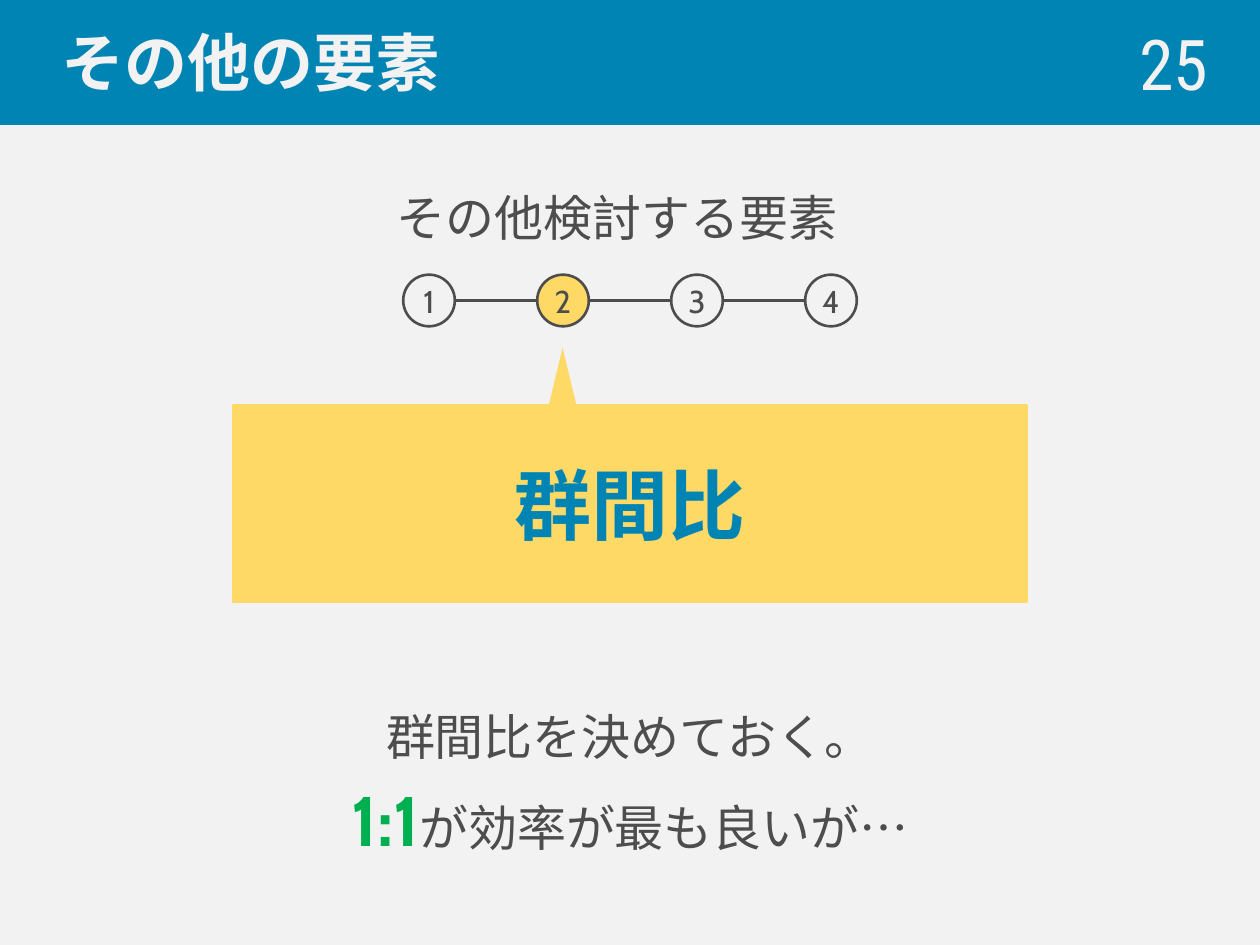
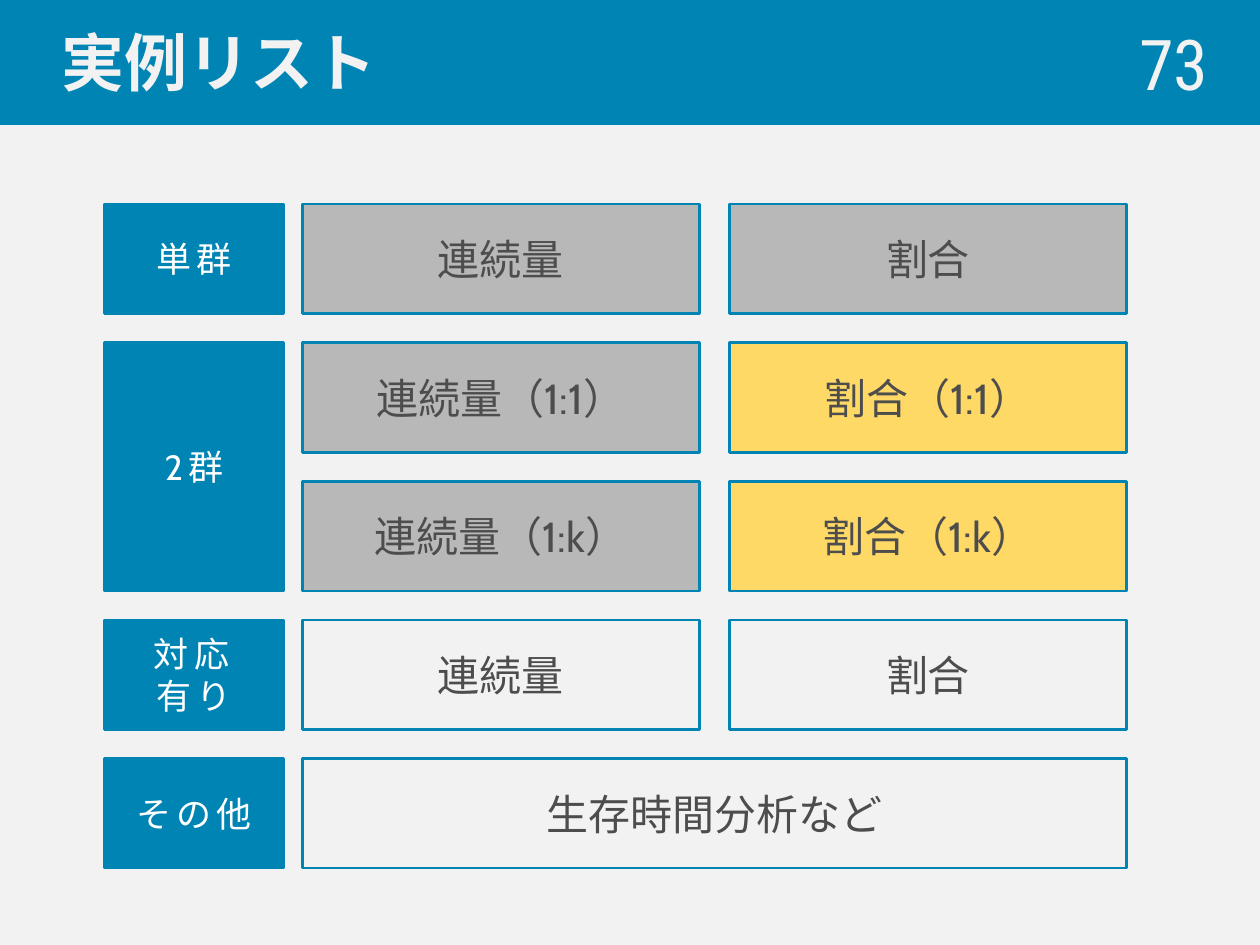
from pptx import Presentation
from pptx import util as u
from pptx.dml.color import RGBColor
from pptx.enum import shapes, text
from pptx.oxml.ns import qn
from lxml import etree

HUES = {"blue": "0084B4", "gold": "FFD966", "gray": "B8B8B8",
        "ink": "4D4D4D", "pale": "F2F2F2", "white": "FFFFFF", "green": "00B050"}
RGB = {name: RGBColor.from_string(code) for name, code in HUES.items()}
SANS, KANJI, COND = "Cabin", "Noto Sans CJK JP", "Roboto Condensed"
LEFT, MID, RIGHT = text.PP_ALIGN.LEFT, text.PP_ALIGN.CENTER, text.PP_ALIGN.RIGHT
KIND = shapes.MSO_SHAPE
WIDE, HIGH, BAND = 10, 7.5, 0.98


def style(frame, size, hue, font=SANS, bold=False, align=MID, gap=0):
    """Format every run of a text frame; gap is letter spacing in points."""
    for par in frame.paragraphs:
        par.alignment = align
        for run in par.runs:
            run.font.size, run.font.bold = u.Pt(size), bold
            run.font.name, run.font.color.rgb = font, RGB[hue]
            props = run._r.get_or_add_rPr()
            props.find(qn("a:latin")).addnext(
                etree.Element(qn("a:ea"), typeface=KANJI))
            if gap:
                props.set("spc", str(gap * 100))


def draw(host, kind, x, y, w, h, fill=None, line=None):
    """Add a flat preset shape, sized in inches."""
    item = host.add_shape(kind, *map(u.Inches, (x, y, w, h)))
    item.shadow.inherit = False
    if fill:
        item.fill.solid()
        item.fill.fore_color.rgb = RGB[fill]
    else:
        item.fill.background()
    if line:
        item.line.color.rgb, item.line.width = RGB[line], u.Pt(1.5)
    else:
        item.line.fill.background()
    item.text_frame.vertical_anchor = text.MSO_ANCHOR.MIDDLE
    return item


deck = Presentation()
deck.slide_width, deck.slide_height = u.Inches(WIDE), u.Inches(HIGH)
back = deck.slide_master.background.fill
back.solid()
back.fore_color.rgb = RGB["pale"]

# Shared header: title band and page number
pages = []
for head, num in (("その他の要素", "25"), ("実例リスト", "73")):
    page = deck.slides.add_slide(deck.slide_layouts[5])
    title = page.shapes.title
    title.left, title.top = 0, 0
    title.width, title.height = u.Inches(WIDE), u.Inches(BAND)
    title.fill.solid()
    title.fill.fore_color.rgb = RGB["blue"]
    title.line.color.rgb, title.line.width = RGB["blue"], u.Pt(1.5)
    frame = title.text_frame
    frame.text = head
    frame.auto_size = text.MSO_AUTO_SIZE.NONE
    frame.vertical_anchor = text.MSO_ANCHOR.MIDDLE
    style(frame, 36, "pale", KANJI, True, LEFT)
    frame.paragraphs[0]._p.get_or_add_pPr().set("marL", str(u.Inches(0.39)))

    frame = page.shapes.add_textbox(*map(u.Inches, (7.76, 0.19, 1.93, 0.61))).text_frame
    frame.text, frame.word_wrap = num, True
    frame.vertical_anchor = text.MSO_ANCHOR.MIDDLE
    style(frame, 40, "pale", COND, align=RIGHT)
    pages.append(page)

# Slide 1: lead line
host = pages[0].shapes
frame = host.add_textbox(*map(u.Inches, (3.05, 1.44, 3.74, 0.57))).text_frame
frame.text, frame.word_wrap = "その他検討する要素", False
style(frame, 28, "ink", align=LEFT)

# Callout with its pointer
edge, span = 1.85, 6.3
item = draw(host, KIND.RECTANGLE, edge, 3.22, span, 1.56, "gold", "gold")
item.text_frame.text = "群間比"
style(item.text_frame, 44, "blue", bold=True)
draw(host, KIND.ISOSCELES_TRIANGLE, 4.34, 2.76, 0.25, 0.52, "gold")

# Closing remark
frame = host.add_textbox(*map(u.Inches, (edge, 5.56, span, 1.33))).text_frame
frame.word_wrap = True
frame.text = "群間比を決めておく。"
last = frame.add_paragraph()
for part in ("1:1", "が効率が最も良いが…"):
    last.add_run().text = part
style(frame, 28, "ink")
for par in frame.paragraphs:
    par.space_after = u.Pt(6)
ratio = last.runs[0].font
ratio.size, ratio.bold, ratio.color.rgb = u.Pt(40), True, RGB["green"]

# Step track: four numbered circles joined by lines
track = host.add_group_shape().shapes
size, top, start, step = 0.41, 2.18, 3.2, 3.19 / 3
for i in range(4):
    x = start + i * step
    dot = draw(track, KIND.OVAL, x, top, size, size, "gold" if i == 1 else None, "ink")
    frame = dot.text_frame
    frame.text = str(i + 1)
    frame.margin_left = frame.margin_right = frame.margin_top = frame.margin_bottom = 0
    style(frame, 18, "ink")
    if i:
        y = top + size / 2
        link = track.add_connector(shapes.MSO_CONNECTOR.STRAIGHT, *map(
            u.Inches, (x - step + size, y, x, y)))
        link.line.color.rgb, link.line.width = RGB["ink"], u.Pt(1.5)
        etree.SubElement(link._element.spPr, qn("a:effectLst"))

# Slide 2: grid of cases; each entry is text, row, rows spanned
host = pages[1].shapes
top, pitch, tall = 1.62, 1.1, 0.87
for label, row, rows in (("単群", 0, 1), ("2群", 1, 2), ("対応\v有り", 3, 1), ("その他", 4, 1)):
    item = draw(host, KIND.RECTANGLE, 0.83, top + row * pitch, 1.42,
                tall + (rows - 1) * pitch, "blue", "blue")
    item.text_frame.text = label
    style(item.text_frame, 20, "white", gap=3)

# Each entry is text, row, column, columns spanned, fill
left, shift, wide = 2.4, 3.39, 3.15
cases = [("連続量", 0, 0, 1, "gray"), ("割合", 0, 1, 1, "gray"),
         ("連続量（1:1）", 1, 0, 1, "gray"), ("割合（1:1）", 1, 1, 1, "gold"),
         ("連続量（1:k）", 2, 0, 1, "gray"), ("割合（1:k）", 2, 1, 1, "gold"),
         ("連続量", 3, 0, 1, None), ("割合", 3, 1, 1, None),
         ("生存時間分析など", 4, 0, 2, None)]
for label, row, col, cols, fill in cases:
    item = draw(host, KIND.RECTANGLE, left + col * shift, top + row * pitch,
                wide + (cols - 1) * shift, tall, fill, "blue")
    item.text_frame.text = label
    style(item.text_frame, 24, "ink")

deck.save("out.pptx")
